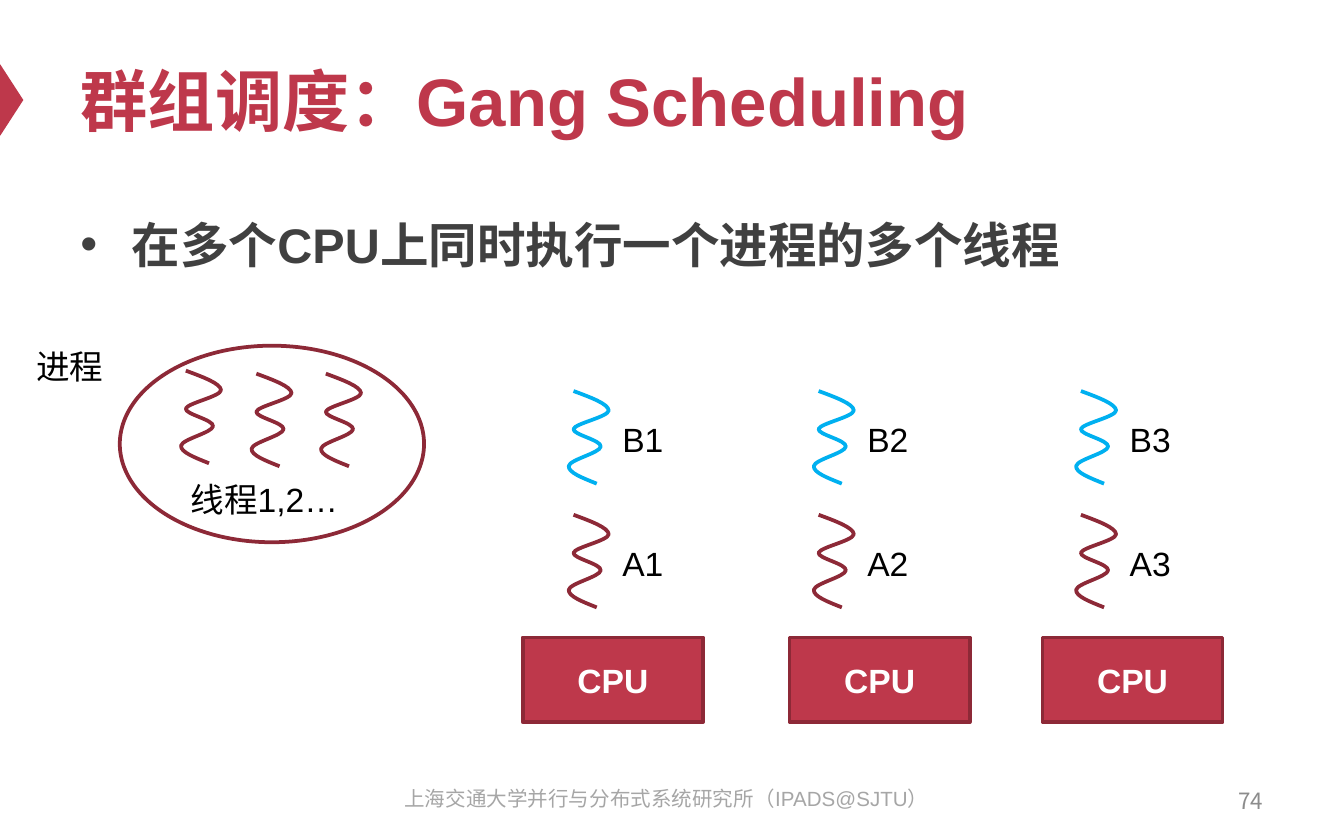
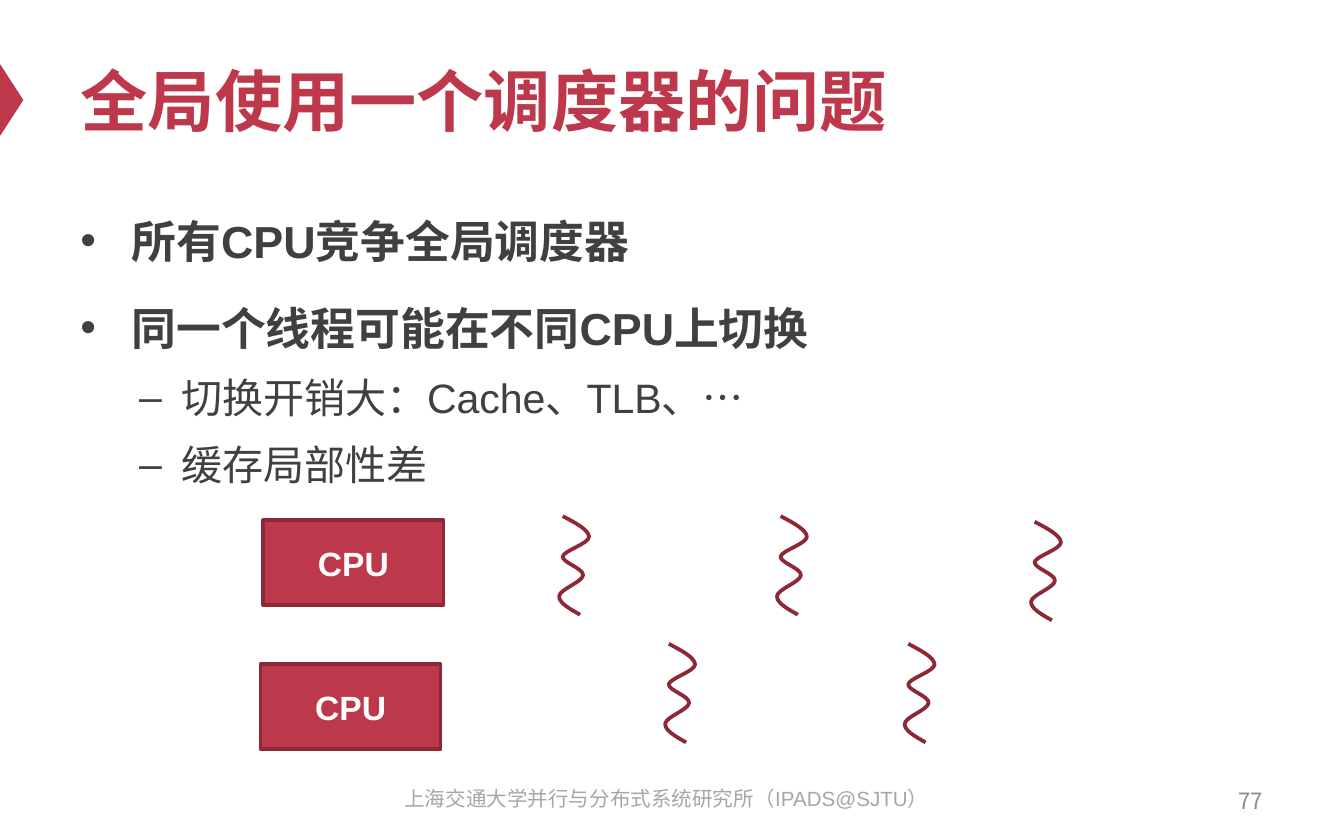
from dataclasses import dataclass

from lxml import etree
from pptx import Presentation
from pptx.dml.color import RGBColor
from pptx.enum.shapes import MSO_SHAPE
from pptx.enum.text import MSO_ANCHOR, MSO_AUTO_SIZE, PP_ALIGN
from pptx.oxml.ns import qn
from pptx.util import Pt

LEFT, MID, RIGHT = PP_ALIGN.LEFT, PP_ALIGN.CENTER, PP_ALIGN.RIGHT
TOP, CENTER = MSO_ANCHOR.TOP, MSO_ANCHOR.MIDDLE
RECT, OVAL, WEDGE = MSO_SHAPE.RECTANGLE, MSO_SHAPE.OVAL, MSO_SHAPE.ISOSCELES_TRIANGLE


@dataclass(frozen=True)
class Theme:
    red: str = "BE384B"
    dark: str = "8D2937"
    blue: str = "00B0F0"
    body: str = "404040"
    black: str = "000000"
    white: str = "FFFFFF"
    gray: str = "8C8C8C"
    pale: str = "A6A6A6"
    font: str = "Arial"
    cjk: str = "Noto Sans CJK SC"
    head: int = 36
    label: int = 18
    page: int = 12
    foot: int = 11
    line: int = 2


T = Theme()
FOOT = "上海交通大学并行与分布式系统研究所（IPADS@SJTU）"
CPU_W, CPU_H = 96.5, 45.4

# Thread outline in a unit box: a start point, then triples of Bezier points
START = (0.12, 0)
CURVES = [
    ((0.56, 0.07), (0.99, 0.14), (1, 0.21)),
    ((0.99, 0.28), (0.16, 0.35), (0.12, 0.41)),
    ((0.09, 0.47), (0.82, 0.53), (0.8, 0.6)),
    ((0.78, 0.67), (0.03, 0.74), (0, 0.81)),
    ((-0.02, 0.88), (0.35, 0.94), (0.7, 1)),
]


def write(pool, box, text, size, tone, align=LEFT, anchor=TOP, font=T.font, cpu=False):
    """Add a text box, or a filled CPU block, holding one line of text."""
    box = [Pt(v) for v in box]
    if cpu:
        item = pool.add_shape(RECT, *box)
        item.shadow.inherit = False
        item.fill.solid()
        item.fill.fore_color.rgb = RGBColor.from_string(T.red)
        item.line.color.rgb = RGBColor.from_string(T.dark)
        item.line.width = Pt(T.line)
    else:
        item = pool.add_textbox(*box)
    frame = item.text_frame
    frame.word_wrap = True
    frame.vertical_anchor = anchor
    frame.text = text
    para = frame.paragraphs[0]
    para.alignment = align
    face = para.runs[0].font
    face.name, face.size, face.bold = font, Pt(size), cpu
    face.color.rgb = RGBColor.from_string(tone)


def thread(pool, left, top, wide, high, tone=T.dark):
    """Draw one wavy thread: join the curve ends, then bend each segment."""
    ends = [(Pt(left + x * wide), Pt(top + y * high))
            for x, y in [START] + [curve[-1] for curve in CURVES]]
    path = pool.build_freeform(*ends[0])
    path.add_line_segments(ends[1:], close=False)
    wave = path.convert_to_shape()
    for line, curve in zip(list(wave._element.iter(qn("a:lnTo"))), CURVES):
        bend = etree.Element(qn("a:cubicBezTo"))
        for x, y in curve:
            dot = etree.SubElement(bend, qn("a:pt"))
            dot.set("x", str(Pt(x * wide)))
            dot.set("y", str(Pt(y * high)))
        line.getparent().replace(line, bend)
    wave.shadow.inherit = False
    wave.fill.background()
    wave.line.color.rgb = RGBColor.from_string(tone)
    wave.line.width = Pt(T.line)


deck = Presentation()
deck.slide_width, deck.slide_height = Pt(720), Pt(450)

# Each page: title, number, bullets as (level, size, text)
PAGES = [
    ("群组调度：Gang Scheduling", "74", [(0, 26, "在多个CPU上同时执行一个进程的多个线程")]),
    ("全局使用一个调度器的问题", "77", [
        (0, 24, "所有CPU竞争全局调度器"),
        (0, 24, "同一个线程可能在不同CPU上切换"),
        (1, 22, "切换开销大：Cache、TLB、…"),
        (1, 22, "缓存局部性差"),
    ]),
]
# Each bullet level: mark, margin, hanging indent, space before, bold
LEVELS = [("•", 27.4, -27.4, 12, True), ("–", 54, -22.5, 4.4, False)]

pools = []
for name, number, points in PAGES:
    page = deck.slides.add_slide(deck.slide_layouts[5])
    pool = page.shapes
    pools.append(pool)

    wedge = pool.add_shape(WEDGE, Pt(-12.8), Pt(47.4), Pt(38.2), Pt(12.4))
    wedge.rotation = 90
    wedge.shadow.inherit = False
    wedge.fill.solid()
    wedge.fill.fore_color.rgb = RGBColor.from_string(T.red)
    wedge.line.fill.background()

    title = pool.title
    title.left, title.top, title.width, title.height = Pt(36), Pt(18), Pt(648), Pt(70.5)
    frame = title.text_frame
    frame.text = name
    frame.auto_size = MSO_AUTO_SIZE.NONE
    frame.vertical_anchor = CENTER
    frame.paragraphs[0].alignment = LEFT
    face = frame.paragraphs[0].runs[0].font
    face.name, face.size, face.bold = T.font, Pt(T.head), True
    face.color.rgb = RGBColor.from_string(T.red)

    frame = pool.add_textbox(Pt(36), Pt(105.2), Pt(648), Pt(296.8)).text_frame
    frame.word_wrap = True
    for i, (level, size, text) in enumerate(points):
        mark, margin, hang, gap, bold = LEVELS[level]
        para = frame.add_paragraph() if i else frame.paragraphs[0]
        para.text = text
        para.level = level
        props = para._p.get_or_add_pPr()
        props.set("marL", str(Pt(margin)))
        props.set("indent", str(Pt(hang)))
        etree.SubElement(props, qn("a:buFont")).set("typeface", T.font)
        etree.SubElement(props, qn("a:buChar")).set("char", mark)
        para.line_spacing = 1.2
        if i:
            para.space_before = Pt(gap)
        face = para.runs[0].font
        face.name, face.size, face.bold = T.font, Pt(size), bold
        face.color.rgb = RGBColor.from_string(T.body)

    write(pool, (515.8, 417, 168, 24), number, T.page, T.gray, RIGHT, CENTER, T.cjk)
    write(pool, (201, 417.5, 312, 24), FOOT, T.foot, T.pale, MID)

gang, shared = pools

# Gang scheduling: one process with its threads, then three CPUs with queues
ring = gang.add_shape(OVAL, Pt(64.2), Pt(185.2), Pt(163), Pt(105.3))
ring.shadow.inherit = False
ring.fill.solid()
ring.fill.fore_color.rgb = RGBColor.from_string(T.white)
ring.line.color.rgb = RGBColor.from_string(T.dark)
ring.line.width = Pt(T.line)
for left, top in [(97, 198.6), (134.8, 200.2), (172, 200.2)]:
    thread(gang, left, top, 21.4, 49.6)
write(gang, (12.4, 182, 68, 29), "进程", T.label, T.black)
write(gang, (95, 253.2, 122, 29), "线程1,2…", T.label, T.black)

for i, (block, queue) in enumerate([(280.1, 304.7), (423, 436), (558.5, 576.5)], 1):
    write(gang, (block, 341.5, CPU_W, CPU_H), "CPU", T.label, T.white, MID, CENTER, cpu=True)
    for group, top, tone in [("A", 275.8, T.dark), ("B", 209.5, T.blue)]:
        pair = gang.add_group_shape().shapes
        thread(pair, queue, top, 21.4, 49.6, tone)
        write(pair, (queue + 19.2, top + 11.5, 41, 29), f"{group}{i}", T.label, T.black, MID)

# Shared scheduler: two CPUs facing the same loose threads
for left, top in [(141.1, 278.8), (139.6, 355.9)]:
    write(shared, (left, top, CPU_W, CPU_H), "CPU", T.label, T.white, MID, CENTER, cpu=True)
for left, top in [(299.6, 276.5), (356.4, 344.9), (416.3, 276.5), (484.7, 344.9), (552.4, 279.5)]:
    thread(shared, left, top, 16, 52.8)

deck.save("out.pptx")
